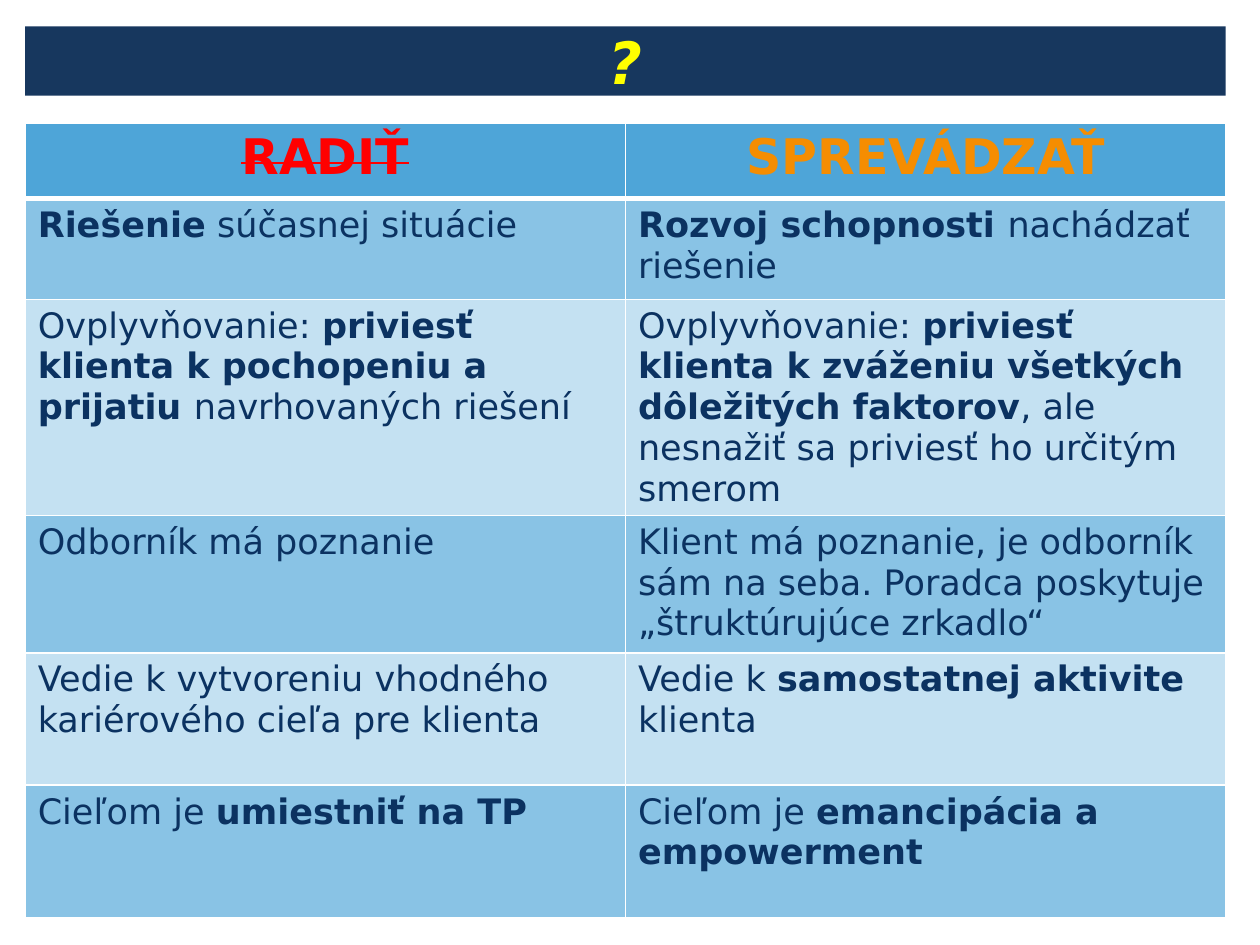
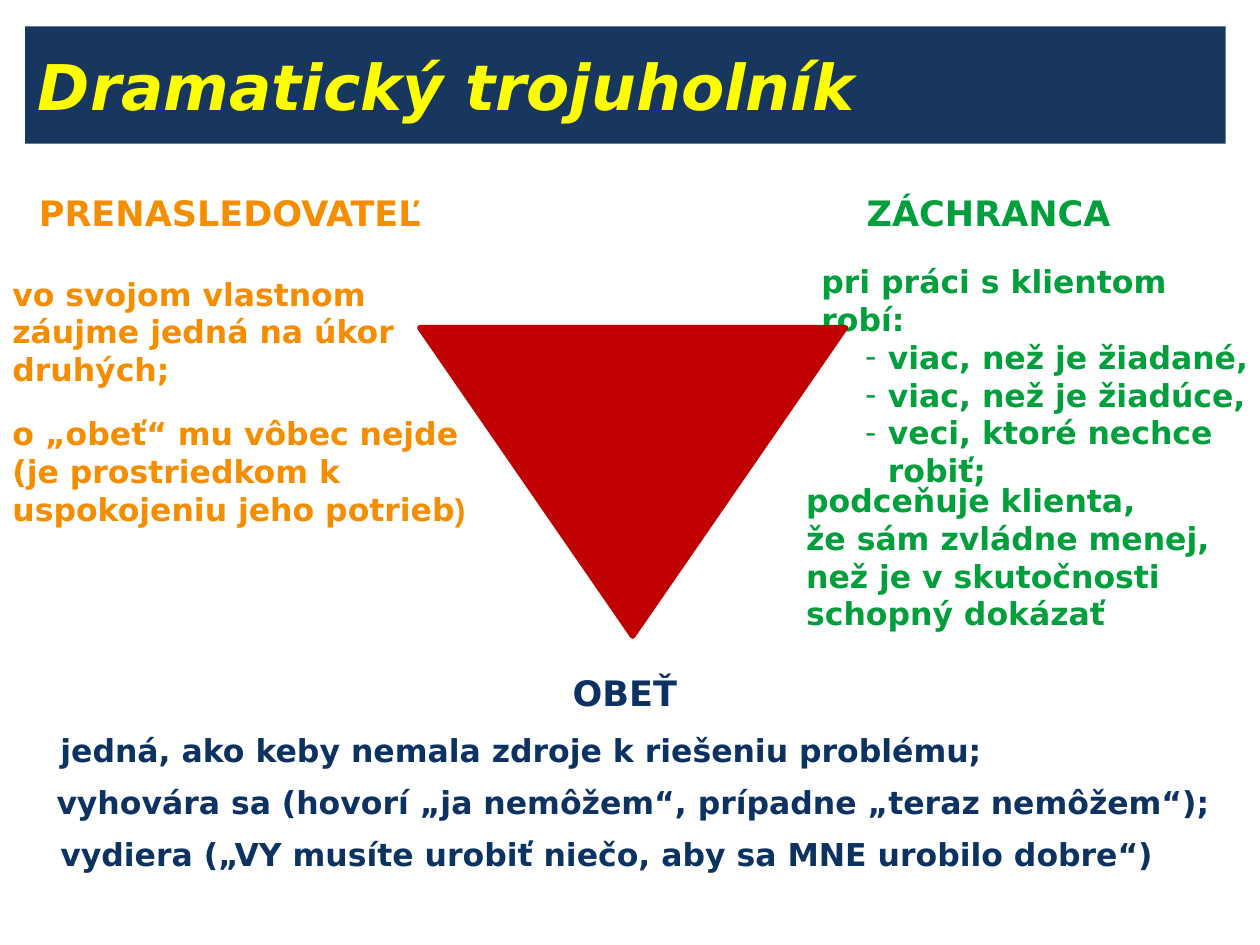
from lxml import etree
from pptx import Presentation
from pptx.dml import color
from pptx.enum import shapes, text
from pptx.oxml import ns
from pptx.util import Pt

FONT = "DejaVu Sans"
HUES = {
    "band": "17375E", "title": "FFFF00", "head": "4EA5D8",
    "odd": "89C3E5", "even": "C4E1F2", "white": "FFFFFF",
    "navy": "0B3261", "red": "FF0000", "orange": "F58D01",
    "green": "009F3C", "core": "C00000",
}
EDGE, WIDE = 14.4, 686

HEADS = [("RADIŤ", "red"), ("SPREVÁDZAŤ", "orange")]
ROWS = [
    (57.6, "*Riešenie* súčasnej situácie",
     "*Rozvoj schopnosti *nachádzať riešenie"),
    (121.7, "Ovplyvňovanie: *priviesť klienta k pochopeniu a prijatiu *navrhovaných riešení",
     "Ovplyvňovanie: *priviesť klienta k zváženiu všetkých dôležitých faktorov*"
     ", ale nesnažiť sa priviesť ho určitým smerom"),
    (78.5, "Odborník má poznanie",
     "Klient má poznanie, je odborník sám na seba. Poradca poskytuje „štruktúrujúce zrkadlo“"),
    (75.6, "Vedie k vytvoreniu vhodného kariérového cieľa pre klienta",
     "Vedie k *samostatnej aktivite *klienta"),
    (75.6, "Cieľom je *umiestniť na TP*",
     "Cieľom je *emancipácia a empowerment*"),
]
ROLES = [
    ("PRENASLEDOVATEĽ", "orange", 15.1, 105.8, 239),
    ("ZÁCHRANCA", "green", 488.2, 105.8, 180),
    ("OBEŤ", "navy", 304.6, 380.2, 105),
]
HUNTER = [
    (153.4, 254, [("vo svojom vlastnom záujme jedná na úkor druhých;", FONT)]),
    (233.3, 275, [("o „obeť“ mu vôbec nejde (je prostriedkom k uspokojeniu jeho potrieb", FONT),
                  (")", "Arial")]),
]
SAVER = ["viac, než je žiadané,", "viac, než je žiadúce,", "veci, ktoré nechce robiť;"]
DOUBT = ["podceňuje klienta,", "že sám zvládne menej, než je v skutočnosti schopný dokázať"]
VICTIM = [
    (27.4, "jedná, ako keby nemala zdroje k riešeniu problému;"),
    (25.2, "vyhovára sa (hovorí „ja nemôžem“, prípadne „teraz nemôžem“);"),
    (27.4, "vydiera („VY musíte urobiť niečo, aby sa MNE urobilo dobre“)"),
]


def hue(name):
    return color.RGBColor.from_string(HUES[name])


def paint(item, name):
    item.fill.solid()
    item.fill.fore_color.rgb = hue(name)


def place(shape, left, top, width, height):
    shape.left, shape.top = Pt(left), Pt(top)
    shape.width, shape.height = Pt(width), Pt(height)


def write(para, words, size, tint, bold=True, font=FONT):
    run = para.add_run()
    run.text = words
    face = run.font
    face.name, face.size, face.bold = font, Pt(size), bold
    face.color.rgb = hue(tint)
    return face


def band(slide, words, size, height, align):
    title = slide.shapes.title
    place(title, EDGE, 15.1, WIDE, height)
    paint(title, "band")
    frame = title.text_frame
    frame.auto_size = text.MSO_AUTO_SIZE.NONE
    frame.vertical_anchor = text.MSO_ANCHOR.MIDDLE
    para = frame.paragraphs[0]
    para.alignment = align
    write(para, words, size, "title").italic = True


def label(slide, box, paras, size, tint, align=text.PP_ALIGN.LEFT):
    frame = slide.shapes.add_textbox(*map(Pt, box)).text_frame
    frame.word_wrap = True
    for i, runs in enumerate(paras):
        para = frame.add_paragraph() if i else frame.paragraphs[0]
        para.alignment = align
        for words, font in runs:
            write(para, words, size, tint, font=font)


def border(cell, low):
    props = cell._tc.get_or_add_tcPr()
    for side, width in (("L", 1), ("R", 1), ("T", 1), ("B", low)):
        line = etree.SubElement(props, ns.qn("a:ln" + side), w=str(Pt(width)))
        fill = etree.SubElement(line, ns.qn("a:solidFill"))
        etree.SubElement(fill, ns.qn("a:srgbClr"), val=HUES["white"])


def grid(slide):
    tall = [43.2] + [row[0] for row in ROWS]
    table = slide.shapes.add_table(
        len(tall), 2, Pt(EDGE), Pt(70.2), Pt(WIDE), Pt(sum(tall))).table
    for row, height in zip(table.rows, tall):
        row.height = Pt(height)
    for col, (words, tint) in enumerate(HEADS):
        cell = table.cell(0, col)
        border(cell, 3)
        paint(cell, "head")
        para = cell.text_frame.paragraphs[0]
        para.alignment = text.PP_ALIGN.CENTER
        face = write(para, words, 28, tint)
        if tint == "red":
            face._element.set("strike", "sngStrike")
    for r, (_, *pair) in enumerate(ROWS, 1):
        for col, words in enumerate(pair):
            cell = table.cell(r, col)
            border(cell, 1)
            paint(cell, "odd" if r % 2 else "even")
            para = cell.text_frame.paragraphs[0]
            for i, part in enumerate(words.split("*")):
                if part:
                    write(para, part, 20, "navy", bold=i % 2 == 1)


def dashes(slide, lead, items):
    body = slide.placeholders[1]
    place(body, 462.2, 146.2, 257.8, 117)
    frame = body.text_frame
    frame.auto_size = text.MSO_AUTO_SIZE.NONE
    frame.margin_right = 0
    for i, words in enumerate([lead] + items):
        para = frame.add_paragraph() if i else frame.paragraphs[0]
        para.space_before = Pt(0)
        props = para._p.get_or_add_pPr()
        props.set("marL", str(Pt(38 if i else 0)))
        props.set("indent", str(Pt(-13 if i else 0)))
        if i:
            etree.SubElement(props, ns.qn("a:buFont"), typeface=FONT)
            etree.SubElement(props, ns.qn("a:buChar"), char="-")
        else:
            etree.SubElement(props, ns.qn("a:buNone"))
        write(para, words, 18, "green")


def wedge(slide):
    shape = slide.shapes.add_shape(
        shapes.MSO_SHAPE.ISOSCELES_TRIANGLE, Pt(239.8), Pt(187.2), Pt(243.4), Pt(176.4))
    shape.rotation = 180
    shape.shadow.inherit = False
    paint(shape, "core")
    shape.line.color.rgb = hue("core")
    shape.line.width = Pt(3)


def main():
    deck = Presentation()
    deck.slide_width, deck.slide_height = Pt(720), Pt(540)

    slide = deck.slides.add_slide(deck.slide_layouts[5])
    band(slide, "?", 33.3, 39.6, text.PP_ALIGN.CENTER)
    grid(slide)

    slide = deck.slides.add_slide(deck.slide_layouts[1])
    band(slide, "Dramatický trojuholník", 36, 67, text.PP_ALIGN.LEFT)
    wedge(slide)
    for words, tint, left, top, width in ROLES:
        align = text.PP_ALIGN.CENTER if tint == "navy" else text.PP_ALIGN.LEFT
        label(slide, (left, top, width, 31), [[(words, FONT)]], 20, tint, align)
    for top, width, runs in HUNTER:
        label(slide, (0, top, width, 72.7), [runs], 18, "orange")
    dashes(slide, "pri práci s klientom robí:", SAVER)
    label(slide, (453.6, 271.4, 266.4, 94), [[(words, FONT)] for words in DOUBT], 18, "green")
    for i, (left, words) in enumerate(VICTIM):
        label(slide, (left, 414 + 29.9 * i, 675, 28.8), [[(words, FONT)]], 18, "navy")

    deck.save("out.pptx")


if __name__ == "__main__":
    main()
